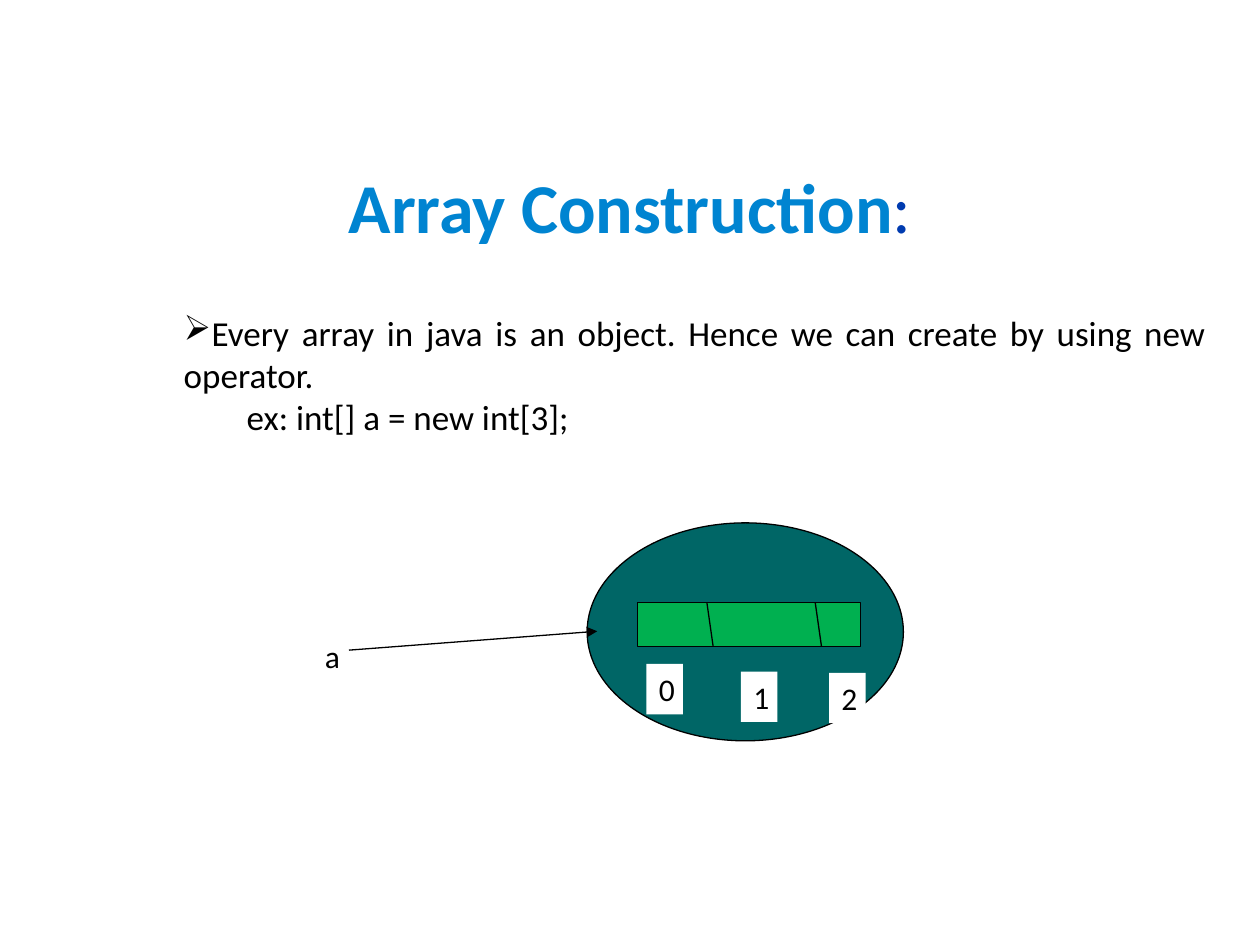
from lxml import etree
from pptx import Presentation
from pptx.dml.color import RGBColor
from pptx.enum.shapes import MSO_CONNECTOR, MSO_SHAPE
from pptx.enum.text import MSO_ANCHOR, PP_ALIGN
from pptx.oxml.ns import qn
from pptx.util import Pt

PX = 9144
LEFT, CENTER, JUSTIFY = PP_ALIGN.LEFT, PP_ALIGN.CENTER, PP_ALIGN.JUSTIFY
TOP = MSO_ANCHOR.TOP
RECT, OVAL = MSO_SHAPE.RECTANGLE, MSO_SHAPE.OVAL
STRAIGHT = MSO_CONNECTOR.STRAIGHT
TITLE_ONLY = 5


def px(*values):
    return [v * PX for v in values]


def rgb(value):
    return RGBColor.from_string(value)


def add_run(p, text, size=18, color="000000", bold=False, font="Calibri"):
    r = p.add_run()
    r.text = text
    r.font.name = font
    r.font.size = Pt(size)
    r.font.bold = bold
    r.font.color.rgb = rgb(color)


def set_indent(p, left, bullet=None):
    pPr = p._p.get_or_add_pPr()
    pPr.set("marL", str(left * PX))
    pPr.set("indent", "0")
    if bullet:
        etree.SubElement(pPr, qn("a:buChar")).set("char", bullet)
    else:
        etree.SubElement(pPr, qn("a:buNone"))


class SlideBuilder:
    line_color = "000000"
    line_width = 0.75

    def __init__(self, prs):
        self.s = prs.slides.add_slide(prs.slide_layouts[TITLE_ONLY])

    def frame(self, sp, align=LEFT):
        tf = sp.text_frame
        tf.word_wrap = True
        tf.vertical_anchor = TOP
        p = tf.paragraphs[0]
        p.alignment = align
        return p

    def title(self, box, runs):
        sp = self.s.shapes.title
        sp.left, sp.top, sp.width, sp.height = px(*box)
        p = self.frame(sp, CENTER)
        for text, color, bold in runs:
            add_run(p, text, size=40, color=color, bold=bold)

    def text(self, box, text):
        add_run(self.frame(self.s.shapes.add_textbox(*px(*box))), text)

    def body(self, box, items):
        sp = self.s.shapes.add_textbox(*px(*box))
        p = self.frame(sp)
        for i, (text, level, left, bullet) in enumerate(items):
            if i:
                p = sp.text_frame.add_paragraph()
            p.alignment = JUSTIFY
            p.level = level
            set_indent(p, left, bullet)
            add_run(p, text, size=20)

    def shape(self, kind, box, fill, outlined=True, text=None):
        sp = self.s.shapes.add_shape(kind, *px(*box))
        sp.shadow.inherit = False
        sp.fill.solid()
        sp.fill.fore_color.rgb = rgb(fill)
        if outlined:
            self.stroke(sp.line)
        else:
            sp.line.fill.background()
        if text:
            add_run(self.frame(sp), text)

    def stroke(self, line):
        line.color.rgb = rgb(self.line_color)
        line.width = Pt(self.line_width)

    def line(self, start, end, arrow=False):
        cx = self.s.shapes.add_connector(STRAIGHT, *px(*start, *end))
        self.stroke(cx.line)
        if arrow:
            ln = cx.line._get_or_add_ln()
            etree.SubElement(ln, qn("a:tailEnd")).set("type", "triangle")
        etree.SubElement(cx._element.spPr, qn("a:effectLst"))


def main():
    prs = Presentation()
    prs.slide_width, prs.slide_height = px(1000, 750)
    b = SlideBuilder(prs)

    b.title((0, 125, 1000, 110), [
        ("Array Construction", "0084D1", True),
        (":", "003BB0", False),
    ])
    b.body((136, 242, 831, 535), [
        ("Every array in java is an object. Hence we can create by using new operator.", 0, 0, "➢"),
        ("ex: int[] a = new int[3];", 1, 50, None),
    ])

    b.shape(OVAL, (466, 415, 251, 173), "006666")
    top, height = 478, 35
    b.shape(RECT, (506, top, 177, height), "00B050")
    for x in (561, 647):
        b.line((x, top), (x + 5, top + height))

    b.text((248, 501, 80, 40), "a")
    b.line((277, 516), (474, 501), arrow=True)

    for index, (x, y) in enumerate([(513, 527), (588, 533), (658, 534)]):
        b.shape(RECT, (x, y, 29, 40), "FFFFFF", outlined=False, text=str(index))

    prs.save("out.pptx")


if __name__ == "__main__":
    main()
